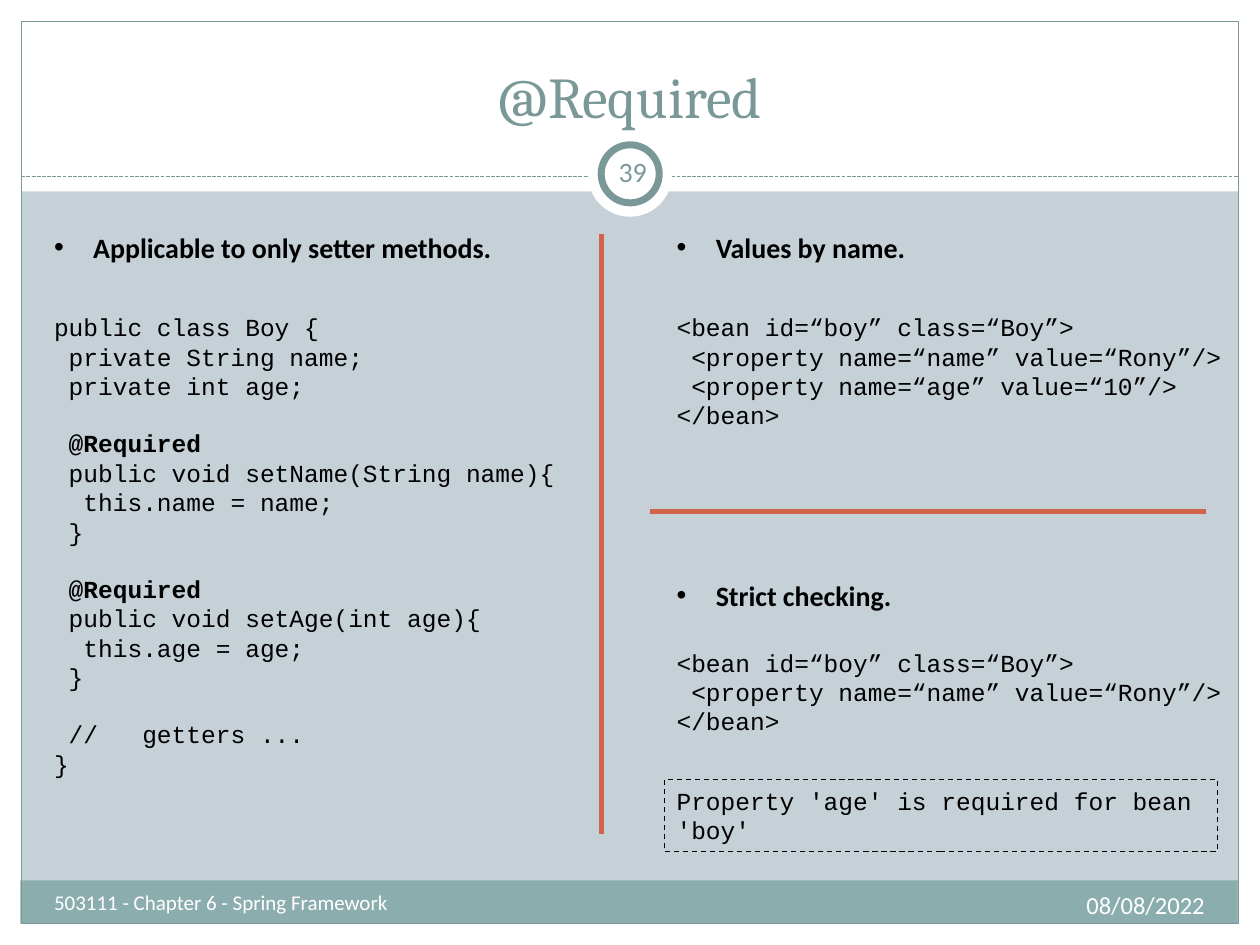
from dataclasses import dataclass
from typing import Optional

from lxml.etree import SubElement
from pptx import Presentation
from pptx.dml.color import RGBColor as RGB
from pptx.enum.dml import MSO_LINE as Dash
from pptx.enum.shapes import MSO_CONNECTOR as Conn, MSO_SHAPE as Shape
from pptx.enum.text import MSO_ANCHOR as Anchor, MSO_AUTO_SIZE as AutoSize, PP_ALIGN as Align
from pptx.oxml.ns import qn
from pptx.util import Cm, Pt


@dataclass(frozen=True)
class Theme:
    white: RGB = RGB(0xFF, 0xFF, 0xFF)
    black: RGB = RGB(0, 0, 0)
    page: RGB = RGB(0xC5, 0xD1, 0xD7)
    band: RGB = RGB(0x8C, 0xAD, 0xAE)
    trim: RGB = RGB(0x7B, 0x98, 0x99)
    accent: RGB = RGB(0xD1, 0x63, 0x49)
    serif: str = "Cambria"
    sans: str = "Calibri"
    mono: str = "Courier New"
    title_size: float = 33
    heading_size: float = 16
    code_size: float = 14
    code_line: float = 15.9  # height of one line of code
    footer_size: float = 12


T = Theme()


@dataclass(frozen=True)
class Box:
    """Left, top, width and height in centimetres."""
    x: float
    y: float
    w: float
    h: float

    def emu(self) -> tuple:
        return Cm(self.x), Cm(self.y), Cm(self.w), Cm(self.h)


@dataclass(frozen=True)
class Style:
    size: float
    font: str = T.sans
    color: RGB = T.black
    bold: bool = False
    align: Align = Align.LEFT


@dataclass(frozen=True)
class Section:
    heading: str
    heading_box: Box
    code: str
    code_box: Box


CODE = Style(T.code_size, T.mono)
HEADING = Style(T.heading_size, bold=True)
LEFT, RIGHT = 0.84, 13.39
HEADING_Y, CODE_Y = 4.52, 6.17

SECTIONS = [
    Section("Applicable to only setter methods.", Box(LEFT, HEADING_Y, 9.47, 0.94),
            """public class Boy {
 private String name;
 private int age;

 @Required
 public void setName(String name){
  this.name = name;
 }

 @Required
 public void setAge(int age){
  this.age = age;
 }

 //   getters ...
}""", Box(LEFT, CODE_Y, 10.67, 9.75)),
    Section("Values by name.", Box(RIGHT, HEADING_Y, 9.4, 0.94),
            """<bean id=“boy” class=“Boy”>
 <property name=“name” value=“Rony”/>
 <property name=“age” value=“10”/>
</bean>""", Box(RIGHT, CODE_Y, 11.84, 2.64)),
    Section("Strict checking.", Box(RIGHT, 11.53, 9.4, 0.94),
            """<bean id=“boy” class=“Boy”>
 <property name=“name” value=“Rony”/>
</bean>""", Box(RIGHT, 12.93, 11.84, 2.03)),
]


def add_shape(s, kind: Shape, box: Box, fill: Optional[RGB] = None,
              line: Optional[RGB] = None, width: float = 0.75):
    sp = s.shapes.add_shape(kind, *box.emu())
    sp.shadow.inherit = False
    if fill is None:
        sp.fill.background()
    else:
        sp.fill.solid()
        sp.fill.fore_color.rgb = fill
    if line is None:
        sp.line.fill.background()
    else:
        sp.line.color.rgb = line
        sp.line.width = Pt(width)
    return sp


def add_line(s, x1: float, y1: float, x2: float, y2: float, color: RGB, width: float):
    ln = s.shapes.add_connector(Conn.STRAIGHT, Cm(x1), Cm(y1), Cm(x2), Cm(y2))
    ln.line.color.rgb = color
    ln.line.width = Pt(width)
    SubElement(ln._element.spPr, qn("a:effectLst"))
    return ln


def format_paragraph(p, style: Style) -> None:
    p.alignment = style.align
    for r in p.runs:
        r.font.name = style.font
        r.font.size = Pt(style.size)
        r.font.bold = style.bold
        r.font.color.rgb = style.color


def add_text(s, box: Box, text: str, style: Style):
    sp = s.shapes.add_textbox(*box.emu())
    tf = sp.text_frame
    tf.word_wrap = True
    tf.text = text
    format_paragraph(tf.paragraphs[0], style)
    return sp


def add_heading(s, box: Box, text: str) -> None:
    p = add_text(s, box, text, HEADING).text_frame.paragraphs[0]
    pPr = p._p.get_or_add_pPr()
    pPr.set("marL", str(Cm(0.79)))
    pPr.set("indent", str(-Cm(0.79)))
    SubElement(pPr, qn("a:buFont"), typeface="Arial")
    SubElement(pPr, qn("a:buChar"), char="•")


def add_code(s, box: Box, code: str) -> None:
    """Empty lines of code become space before the next paragraph."""
    first, *rest = code.split("\n")
    tf = add_text(s, box, first, CODE).text_frame
    gap = 0.0
    for text in rest:
        if not text:
            gap += T.code_line
            continue
        p = tf.add_paragraph()
        p.text = text
        p.space_before = Pt(gap)
        gap = 0.0
        format_paragraph(p, Style(T.code_size, T.mono, bold="@" in text))


def main() -> None:
    prs = Presentation()
    prs.slide_width, prs.slide_height = Cm(25.4), Cm(19.05)
    s = prs.slides.add_slide(prs.slide_layouts[5])
    s.background.fill.solid()
    s.background.fill.fore_color.rgb = T.page

    # White margins and header, footer band, outline
    margin, bottom = 0.43, 18.62
    for box in (Box(0, bottom, 25.4, margin), Box(0, 0, 25.4, 3.86),
                Box(0, 0, margin, 19.05), Box(25.4 - margin, 0, margin, 19.05)):
        add_shape(s, Shape.RECTANGLE, box, T.white)
    add_shape(s, Shape.RECTANGLE, Box(0.41, 17.75, 24.54, 0.87), T.band)
    add_shape(s, Shape.RECTANGLE, Box(margin, margin, 24.54, bottom - margin), line=T.trim)
    rule = add_line(s, margin, 3.56, 25.4 - margin, 3.56, T.trim, 0.75)
    rule.line.dash_style = Dash.SQUARE_DOT
    rule.line._get_or_add_ln().prstDash.set("val", "sysDash")

    # Page number badge
    add_shape(s, Shape.OVAL, Box(11.85, 2.67, 1.7, 1.7), T.white)
    add_shape(s, Shape.OVAL, Box(12.12, 2.92, 1.17, 1.17), T.white, T.trim, 4)
    number = add_text(s, Box(12.12, 2.84, 1.27, 1.22), "39",
                      Style(T.heading_size, color=T.trim, align=Align.CENTER)).text_frame
    number.vertical_anchor = Anchor.MIDDLE
    number.margin_left = number.margin_right = Cm(0.13)

    # Title, brought in front of the header
    title = s.shapes.title
    title.left, title.top, title.width, title.height = Box(LEFT, 0.64, 23.7, 2.11).emu()
    tf = title.text_frame
    tf.text = "@Required"
    tf.auto_size = AutoSize.NONE
    tf.vertical_anchor = Anchor.BOTTOM
    format_paragraph(tf.paragraphs[0],
                     Style(T.title_size, T.serif, T.trim, align=Align.CENTER))
    s.shapes._spTree.append(title._element)

    # Headings with their code
    for section in SECTIONS:
        add_heading(s, section.heading_box, section.heading)
        add_code(s, section.code_box, section.code)

    # Error message
    message = add_shape(s, Shape.RECTANGLE, Box(RIGHT, 15.72, 11.15, 1.45), line=T.black)
    message.line.dash_style = Dash.DASH
    message.text_frame.word_wrap = True
    message.text_frame.vertical_anchor = Anchor.TOP
    message.text_frame.text = "Property 'age' is required for bean 'boy'"
    format_paragraph(message.text_frame.paragraphs[0], CODE)

    # Dividers
    add_line(s, 12.12, 4.72, 12.12, 16.81, T.accent, 3)
    add_line(s, 24.31, 10.31, 13.11, 10.31, T.accent, 3)

    # Footer
    add_text(s, Box(LEFT, 17.81, 9.96, 1.02), "503111 - Chapter 6 - Spring Framework",
             Style(T.footer_size, color=T.white))
    add_text(s, Box(16.08, 17.81, 8.46, 1.02), "08/08/2022",
             Style(T.code_size, color=T.white, align=Align.RIGHT))

    prs.save("out.pptx")


if __name__ == "__main__":
    main()
